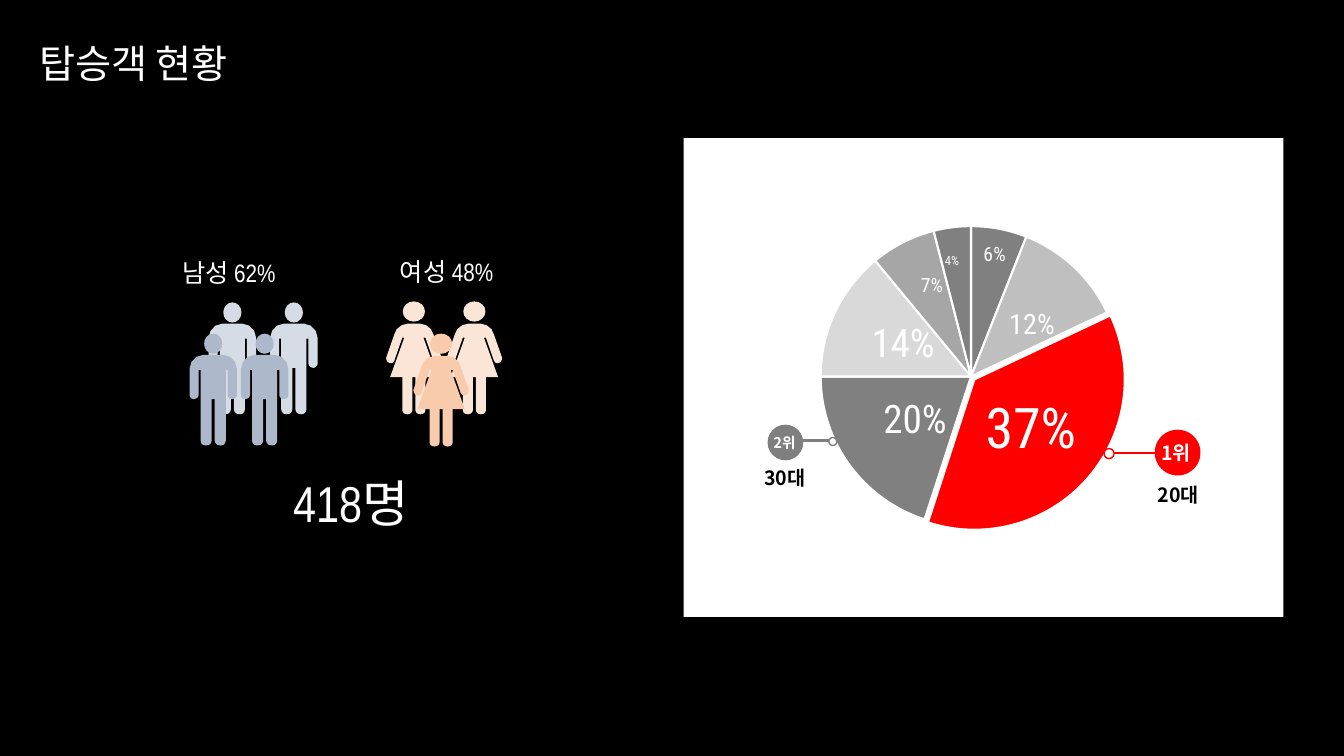
import lxml.etree
import pptx
import pptx.chart.data
import pptx.dml.color
import pptx.enum.chart
import pptx.enum.shapes
import pptx.enum.text
import pptx.oxml
import pptx.oxml.ns
import pptx.util
from math import cos, pi, sin
from pptx.util import Inches

ALIGN = pptx.enum.text.PP_ALIGN
ANCHOR = pptx.enum.text.MSO_ANCHOR
OVAL = pptx.enum.shapes.MSO_SHAPE.OVAL
NARROW, NOTO, ROBOTO = "Arial Narrow", "Noto Sans CJK KR", "Roboto Condensed"
rgb = pptx.dml.color.RGBColor.from_string

prs = pptx.Presentation()
prs.slide_width, prs.slide_height = Inches(13.33), Inches(7.5)
slide = prs.slides.add_slide(prs.slide_layouts[6])
slide.background.fill.solid()
slide.background.fill.fore_color.rgb = rgb("000000")
shapes = slide.shapes


def paint(shape, fill, line=None):
    shape.shadow.inherit = False
    shape.fill.solid()
    shape.fill.fore_color.rgb = rgb(fill)
    if line:
        shape.line.color.rgb = rgb(line)
        shape.line.width = pptx.util.Pt(1)
    else:
        shape.line.fill.background()


def write(text, box, size, color="FFFFFF", font=NARROW, align=ALIGN.CENTER):
    """Narrow text is a middle-anchored heading; other text is a bold label."""
    heading = font == NARROW
    frame = shapes.add_textbox(*map(Inches, box)).text_frame
    frame.word_wrap = True
    frame.vertical_anchor = ANCHOR.MIDDLE if heading else ANCHOR.TOP
    if not heading:
        frame.auto_size = pptx.enum.text.MSO_AUTO_SIZE.SHAPE_TO_FIT_TEXT
    paragraph = frame.paragraphs[0]
    paragraph.text = text
    paragraph.alignment = align
    paragraph.line_spacing = 0.9 if heading else 1.0
    run_font = paragraph.runs[0].font
    run_font.name, run_font.size, run_font.bold = font, pptx.util.Pt(size), not heading
    run_font.color.rgb = rgb(color)


panel = shapes.add_shape(pptx.enum.shapes.MSO_SHAPE.RECTANGLE,
                         Inches(6.78), Inches(1.37), Inches(5.95), Inches(4.75))
paint(panel, "FFFFFF")
write("탑승객 현황", (0.29, 0.24, 12.94, 0.82), 28, align=ALIGN.LEFT)

# Left half of each figure, from crotch to shoulder: pairs are corners, sixes are Bézier curves
man = (0.47, 0.09, [
    (0.22, 0.65), (0.22, 1.06),
    (0.22, 1.09, 0.2, 1.11, 0.16, 1.11), (0.13, 1.11, 0.11, 1.09, 0.11, 1.06),
    (0.11, 0.36), (0.09, 0.36), (0.09, 0.61),
    (0.09, 0.63, 0.07, 0.65, 0.04, 0.65), (0.02, 0.65, 0, 0.63, 0, 0.61),
    (0, 0.35), (0, 0.28, 0.06, 0.21, 0.14, 0.21)])
woman = (0.55, 0.11, [
    (0.26, 0.75), (0.26, 1.08),
    (0.26, 1.1, 0.24, 1.12, 0.21, 1.12), (0.18, 1.12, 0.16, 1.1, 0.16, 1.08),
    (0.16, 0.75), (0.04, 0.75), (0.18, 0.36), (0.16, 0.36), (0.08, 0.59),
    (0.07, 0.61, 0.05, 0.62, 0.03, 0.61), (0.01, 0.6, 0, 0.58, 0, 0.56),
    (0.08, 0.33), (0.09, 0.27, 0.15, 0.22, 0.22, 0.22)])
passengers = [
    (man, 2.07, 3, "D6DCE5"), (man, 2.68, 3, "D6DCE5"),
    (woman, 4.43, 2.99, "FBE5D6"), (woman, 3.83, 2.99, "FBE5D6"),
    (man, 1.88, 3.31, "ADB9CA"), (man, 2.39, 3.31, "ADB9CA"),
    (woman, 4.1, 3.31, "F8CBAD")]
for (width, head_radius, half_outline), left, top, color in passengers:
    half = []
    for step in half_outline:
        if len(step) == 2:
            half.append(step)
            continue
        start, curve = half[-1], (step[:2], step[2:4], step[4:])
        for t in (1 / 3, 2 / 3, 1):
            weights = ((1 - t) ** 3, 3 * t * (1 - t) ** 2, 3 * t * t * (1 - t), t ** 3)
            half.append(tuple(sum(w * p[axis] for w, p in zip(weights, (start, *curve)))
                              for axis in (0, 1)))
    body = half + [(width - x, y) for x, y in reversed(half)]
    head = [(width / 2 + head_radius * cos(k * pi / 8), 0.1 + 0.1 * sin(k * pi / 8))
            for k in range(16)]
    body, head = ([(Inches(left + x), Inches(top + y)) for x, y in part]
                  for part in (body, head))
    outline = shapes.build_freeform(*body[0])
    outline.add_line_segments(body[1:])
    outline.move_to(*head[0])
    outline.add_line_segments(head[1:])
    paint(outline.convert_to_shape(), color)

write("418명", (2.35, 4.61, 2.26, 0.82), 36)
write("남성 62%", (1.14, 2.31, 2.26, 0.82), 18)
write("여성 48%", (3.3, 2.3, 2.26, 0.82), 18)

# Age groups: value, slice colour, label size, label shift as a share of the chart
ages = [
    (6, "808080", 14, (0.02, -0.14)), (12, "BFBFBF", 20, (0.02, 0.01)),
    (37, "FF0000", 40, None), (20, "808080", 28, (0.01, 0)),
    (14, "D9D9D9", 28, None), (7, "A6A6A6", 14, (-0.01, -0.07)),
    (4, "808080", 9, (-0.02, -0.12)), (0, "595959", None, None)]
age_data = pptx.chart.data.CategoryChartData()
age_data.categories = [str(n) for n in range(1, 9)]
age_data.add_series("Series 1", [age[0] for age in ages])
chart = shapes.add_chart(pptx.enum.chart.XL_CHART_TYPE.PIE, Inches(7.28), Inches(2.04),
                         Inches(4.75), Inches(3.39), age_data).chart
chart.has_legend = chart.has_title = False
chart.font.name, chart.font.size = NOTO, pptx.util.Pt(10)
chart.font.color.rgb = rgb("000000")
pie = chart.plots[0]
pie.vary_by_categories = True
series = pie.series[0]
layout_xml = "<c:layout %s><c:manualLayout>%%s</c:manualLayout></c:layout>" % (
    pptx.oxml.ns.nsdecls("c"))

for index, (value, color, size, shift) in enumerate(ages):
    age_slice = series.points[index]
    age_slice.format.fill.solid()
    age_slice.format.fill.fore_color.rgb = rgb(color)
    age_slice.format.line.color.rgb = rgb("FFFFFF")
    age_slice.format.line.width = pptx.util.Pt(1.5)
    label = age_slice.data_label
    label.font.name, label.font.size = ROBOTO, pptx.util.Pt(size or 10)
    label.font.color.rgb = rgb("FFFFFF")
    label.position = pptx.enum.chart.XL_LABEL_POSITION.CENTER
    label_xml = series._element.xpath("c:dLbls/c:dLbl[c:idx/@val='%d']" % index)[0]
    label_xml.xpath("c:showVal")[0].set("val", "0")
    label_xml.xpath("c:showPercent")[0].set("val", "1" if size else "0")
    if shift:
        label_xml.insert(1, pptx.oxml.parse_xml(
            layout_xml % '<c:x val="%s"/><c:y val="%s"/>' % shift))

twenties = series._element.xpath("c:dPt[c:idx/@val='2']")[0]
explosion = pptx.oxml.parse_xml('<c:explosion %s val="3"/>' % pptx.oxml.ns.nsdecls("c"))
twenties.xpath("c:spPr")[0].addprevious(explosion)

plot_area = chart._chartSpace.xpath("c:chart/c:plotArea")[0]
for old_layout in plot_area.xpath("c:layout"):
    plot_area.remove(old_layout)
plot_area.insert(0, pptx.oxml.parse_xml(layout_xml % (
    '<c:layoutTarget val="inner"/><c:xMode val="edge"/><c:yMode val="edge"/>'
    '<c:x val="0.18"/><c:y val="0.06"/><c:w val="0.63"/><c:h val="0.88"/>')))

# Callouts: colour, line ends and height, badge and dot (left, top, size), rank, age
callouts = [
    ("FF0000", (11.02, 11.46, 4.49), (11.46, 4.27, 0.44), (10.95, 4.45, 0.1),
     ("1위", (11.35, 4.33, 0.63, 0.34), 14), ("20대", (11.29, 4.74, 0.79, 0.34), 14)),
    ("7F7F7F", (7.91, 8.25, 4.37), (7.62, 4.22, 0.34), (8.22, 4.34, 0.08),
     ("2위", (7.54, 4.25, 0.48, 0.28), 10.5), ("30대", (7.39, 4.57, 0.79, 0.34), 14))]
for color, (start, end, height), badge, dot, rank, age_group in callouts:
    leader = shapes.add_connector(pptx.enum.shapes.MSO_CONNECTOR.STRAIGHT, Inches(start),
                                  Inches(height), Inches(end), Inches(height))
    leader.line.color.rgb = rgb(color)
    leader.line.width = pptx.util.Pt(1.5)
    lxml.etree.SubElement(leader._element.spPr, pptx.oxml.ns.qn("a:effectLst"))
    for (left, top, size), fill in ((badge, color), (dot, "FFFFFF")):
        circle = shapes.add_shape(OVAL, Inches(left), Inches(top), Inches(size), Inches(size))
        paint(circle, fill, color)
    write(*rank, font=NOTO)
    write(*age_group, color="000000", font=NOTO)

prs.save("out.pptx")
